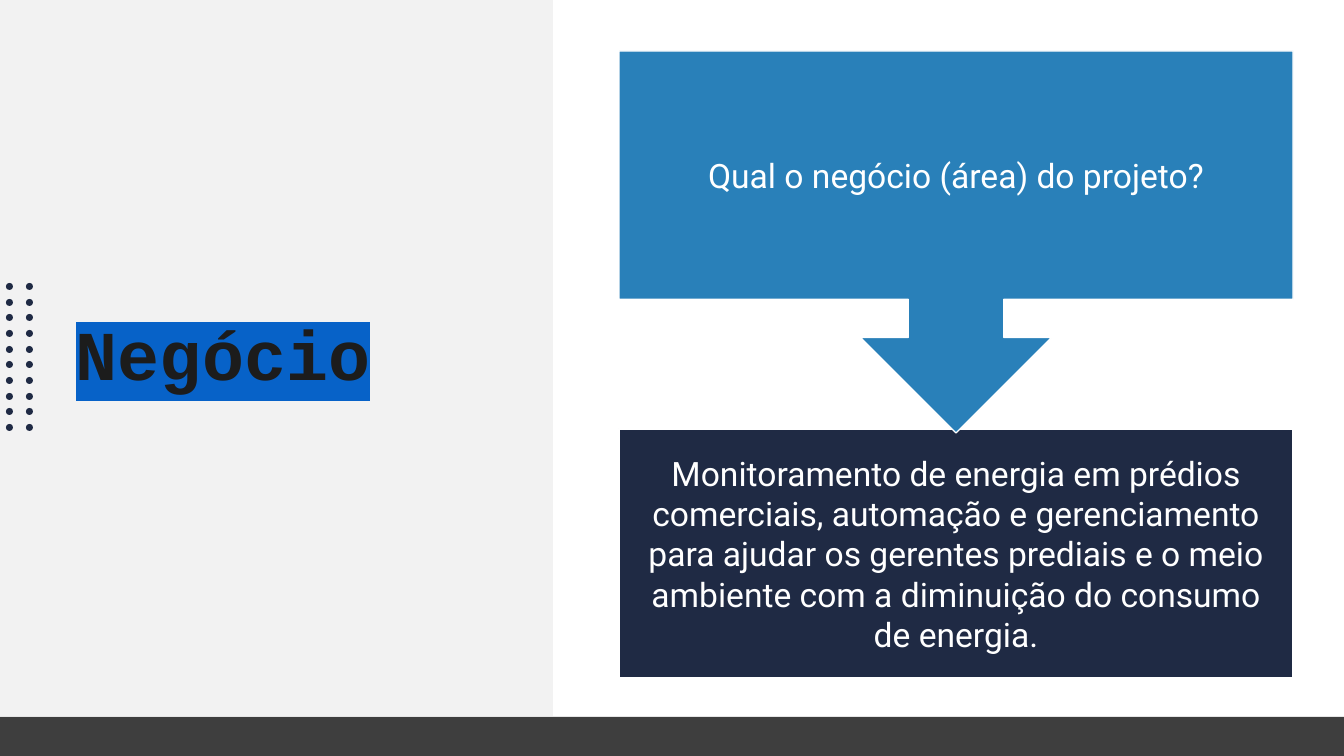
from dataclasses import dataclass
from itertools import product

from lxml import etree
from pptx import Presentation
from pptx import util as u
from pptx.dml.color import RGBColor
from pptx.enum import shapes, text
from pptx.oxml.ns import qn

SCALE = 914400 / 100.8


@dataclass(frozen=True)
class Theme:
    """Colours, fonts and type sizes of the page."""
    panel: str = "F2F2F2"
    navy: str = "1F2A44"
    blue: str = "2980B9"
    footer: str = "3E3E3E"
    white: str = "FFFFFF"
    ink: str = "1C1C1C"
    highlight: str = "0762C8"
    title_font: str = "Courier New"
    body_font: str = "Roboto"
    title_size: int = 50
    body_size: int = 24


THEME = Theme()
SHAPE = shapes.MSO_SHAPE


def px(length):
    """Turn pixels into EMU."""
    return u.Emu(round(length * SCALE))


def apply(target, values):
    """Set attributes from a dict of format values."""
    for name, value in values.items():
        setattr(target, name, value)


def place(item, area):
    """Move and size an item to a pixel area."""
    apply(item, dict(zip(("left", "top", "width", "height"), map(px, area))))


def add_block(page, kind, area, fill, line=None):
    """Add a filled preset shape, with an optional thin outline."""
    block = page.shapes.add_shape(kind, *map(px, area))
    block.shadow.inherit = False
    block.fill.solid()
    block.fill.fore_color.rgb = RGBColor.from_string(fill)
    if line:
        block.line.color.rgb = RGBColor.from_string(line)
        block.line.width = u.Pt(1)
    else:
        block.line.fill.background()
    return block


def write(box, words, inset, para_format, font, color):
    """Write one formatted paragraph into a box and return its span."""
    frame = box.text_frame
    apply(frame, {"word_wrap": True, "auto_size": text.MSO_AUTO_SIZE.NONE,
                  "vertical_anchor": text.MSO_ANCHOR.MIDDLE})
    sides = ("margin_left", "margin_right", "margin_top", "margin_bottom")
    apply(frame, dict.fromkeys(sides, px(inset)))
    para = frame.paragraphs[0]
    apply(para, para_format)
    span = para.add_run()
    span.text = words
    apply(span.font, font)
    span.font.color.rgb = RGBColor.from_string(color)
    return span


def write_body(box, words):
    """Write centred white body text."""
    write(box, words, 19, {"alignment": text.PP_ALIGN.CENTER},
          {"name": THEME.body_font, "size": u.Pt(THEME.body_size)}, THEME.white)


def add_title(page, words, area):
    """Format the title placeholder and bring it in front of the panel."""
    title = page.shapes.title
    place(title, area)
    span = write(title, words, 10,
                 {"alignment": text.PP_ALIGN.LEFT, "line_spacing": 0.9},
                 {"name": THEME.title_font, "size": u.Pt(THEME.title_size),
                  "bold": True}, THEME.ink)
    mark = etree.Element(qn("a:highlight"))
    etree.SubElement(mark, qn("a:srgbClr"), val=THEME.highlight)
    span.font.fill  # the highlight must follow the text fill
    span.font._element.find(qn("a:solidFill")).addnext(mark)
    title.element.getparent().append(title.element)


def add_dots(page, columns, top, bottom, rows, size):
    """Add evenly spaced columns of dots."""
    step = (bottom - top) / (rows - 1)
    for row, left in product(range(rows), columns):
        area = (left, round(top + row * step), size, size)
        add_block(page, SHAPE.OVAL, area, THEME.navy)


def add_question(page, words, area, text_height):
    """Add a callout pointing down, with upright text in its box part."""
    callout = add_block(page, SHAPE.UP_ARROW_CALLOUT, area, THEME.blue, THEME.white)
    callout.rotation = 180
    left, top, width, _ = area
    label = page.shapes.add_textbox(*map(px, (left, top, width, text_height)))
    write_body(label, words)


def main():
    """Build the page and save the deck."""
    deck = Presentation()
    deck.slide_width, deck.slide_height = px(1344), px(756)
    page = deck.slides.add_slide(deck.slide_layouts[5])

    add_block(page, SHAPE.RECTANGLE, (0, 0, 553, 716), THEME.panel)
    add_title(page, "Negócio", (66, 133, 427, 449))
    add_dots(page, columns=(6, 26), top=283, bottom=424, rows=10, size=7)
    add_block(page, SHAPE.RECTANGLE, (0, 717, 1344, 39), THEME.footer)

    answer = add_block(page, SHAPE.RECTANGLE, (619, 429, 674, 249),
                       THEME.navy, THEME.white)
    write_body(answer, "Monitoramento de energia em prédios comerciais, automação "
                       "e gerenciamento para ajudar os gerentes prediais e o meio "
                       "ambiente com a diminuição do consumo de energia.")
    add_question(page, "Qual o negócio (área) do projeto?",
                 (619, 51, 674, 382), text_height=249)
    deck.save("out.pptx")


main()
